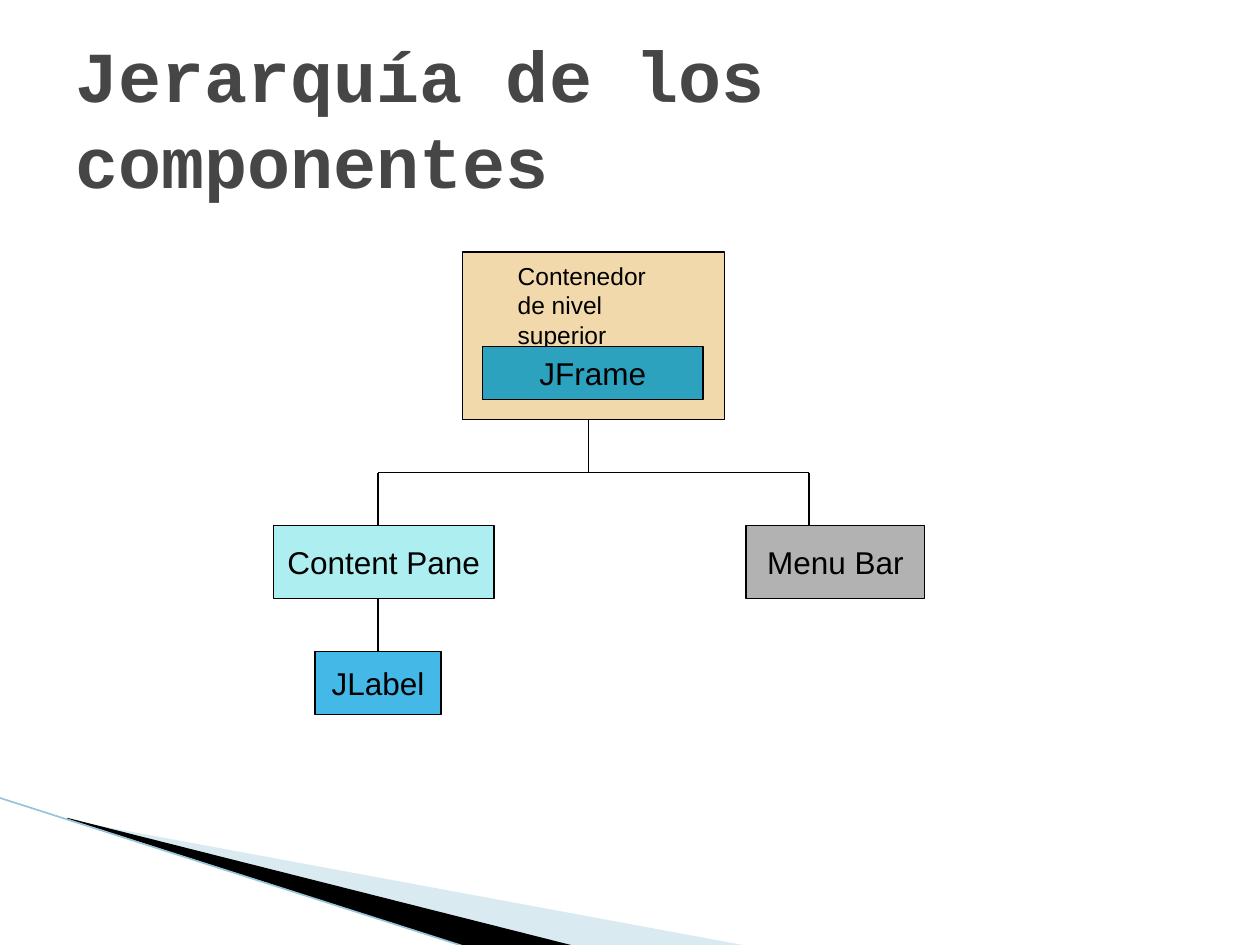
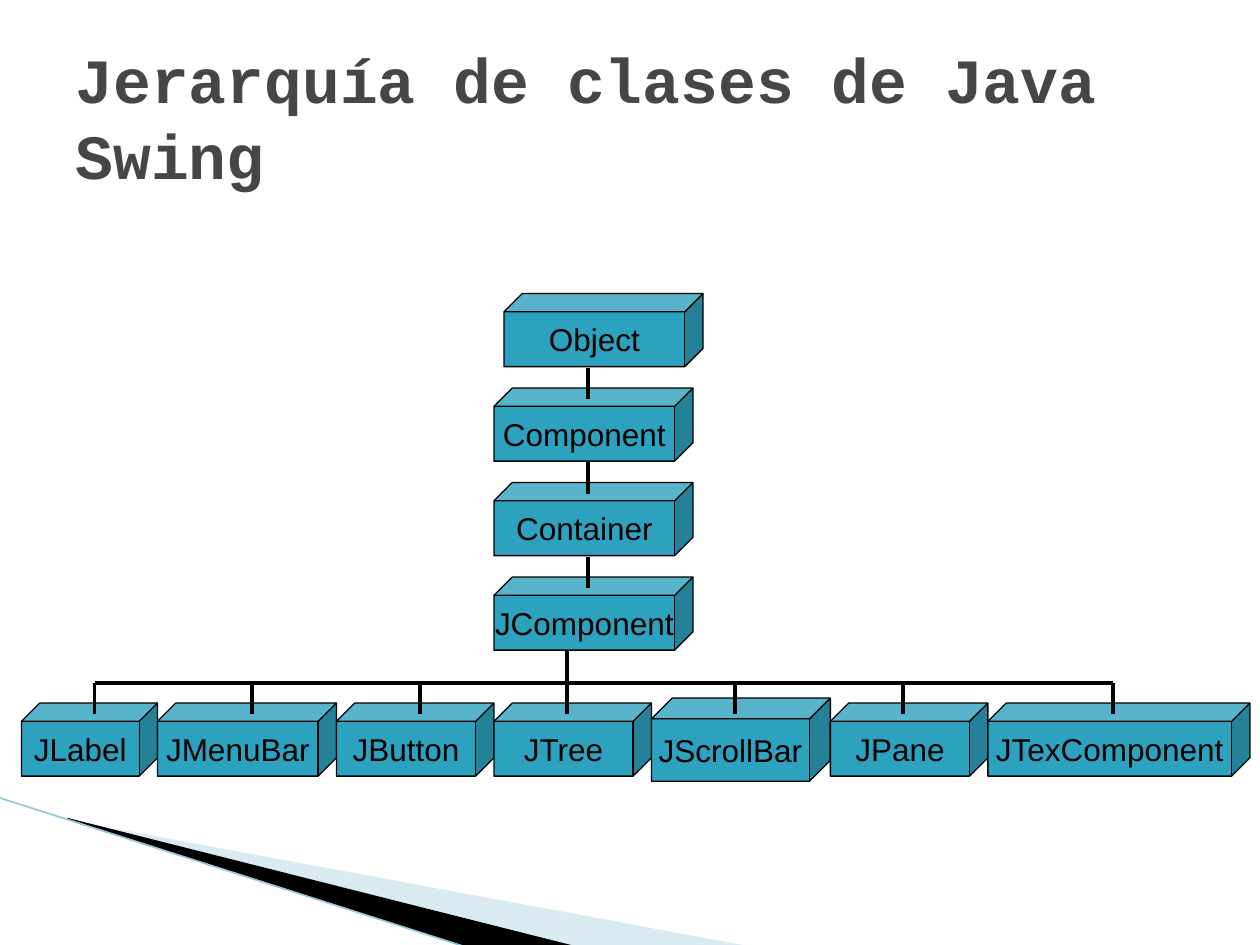
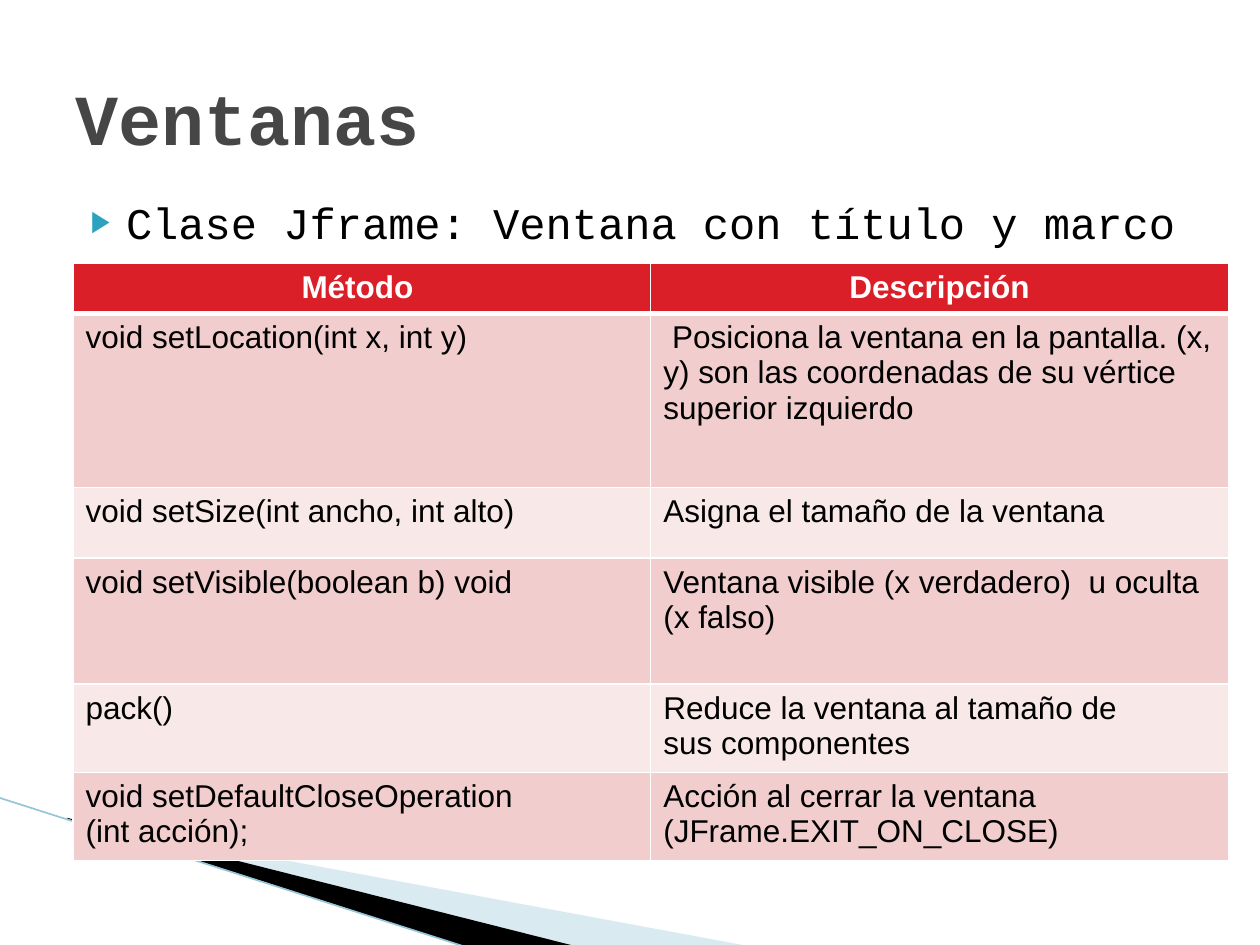
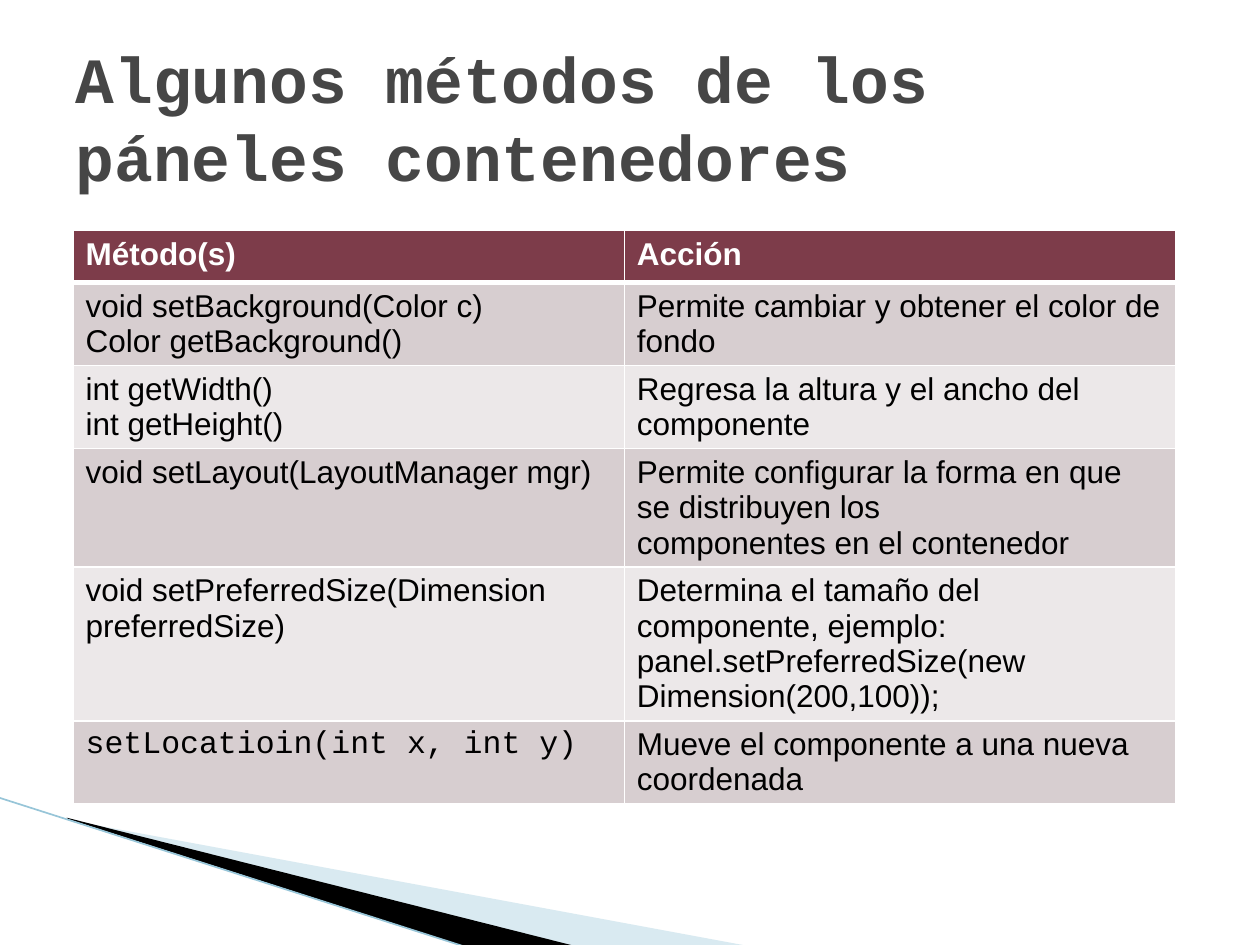
from itertools import accumulate

from lxml.etree import SubElement
from pptx import Presentation
from pptx.dml.color import RGBColor
from pptx.enum.shapes import MSO_CONNECTOR, MSO_SHAPE
from pptx.enum.text import MSO_ANCHOR, MSO_AUTO_SIZE, PP_ALIGN
from pptx.oxml.ns import qn
from pptx.util import Inches, Pt

BLACK, WHITE, GREY = "000000", "FFFFFF", "464646"
TEAL, PALE_BLUE, LINE_BLUE = "2DA2BF", "A0CBDC", "97C5D8"
SANS, MONO = "Arial", "Courier New"
TITLE_BOX = (0.5, 0.3, 9, 1.25)
TITLE_ONLY, TITLE_AND_BODY = 5, 1


# Shared helpers
def rgb(value):
    return RGBColor.from_string(value)


def inches(*values):
    return [Inches(v) for v in values]


def set_font(r, color=BLACK, **values):
    values = {"name": SANS, "size": Pt(18), "bold": False, **values}
    for key, value in values.items():
        setattr(r.font, key, value)
    r.font.color.rgb = rgb(color)


def write(tf, text, align=None, **font):
    """Write one paragraph for each line of the text."""
    for i, line in enumerate(text.split("\n")):
        p = tf.paragraphs[0] if i == 0 else tf.add_paragraph()
        p.alignment = align
        r = p.add_run()
        r.text = line
        set_font(r, **font)


def add_box(s, kind, box, text="", fill=TEAL):
    sp = s.shapes.add_shape(kind, *inches(*box))
    sp.shadow.inherit = False
    sp.fill.solid()
    sp.fill.fore_color.rgb = rgb(fill)
    sp.line.color.rgb = rgb(BLACK)
    sp.line.width = Pt(0.75)
    tf = sp.text_frame
    tf.word_wrap = False
    tf.vertical_anchor = MSO_ANCHOR.MIDDLE
    if text:
        write(tf, text, PP_ALIGN.CENTER)
    return sp


def add_line(s, x1, y1, x2, y2, width=0.75, color=BLACK):
    line = s.shapes.add_connector(MSO_CONNECTOR.STRAIGHT, *inches(x1, y1, x2, y2))
    line.line.color.rgb = rgb(color)
    line.line.width = Pt(width)
    SubElement(line._element.spPr, qn("a:effectLst"))
    return line


def add_wedge(s, points, fill, alpha=None):
    start, *rest = [inches(*point) for point in points]
    builder = s.shapes.build_freeform(*start)
    builder.add_line_segments(rest)
    sp = builder.convert_to_shape()
    sp.shadow.inherit = False
    sp.fill.solid()
    sp.fill.fore_color.rgb = rgb(fill)
    sp.line.fill.background()
    if alpha:
        color = sp._element.spPr.find(qn("a:solidFill"))[0]
        SubElement(color, qn("a:alpha"), val=str(alpha * 1000))
    return sp


def decorate_master(prs, s):
    """Draw the corner wedges and move them to the master."""
    parts = [
        add_wedge(s, [(0.55, 6.51), (5.95, 7.51), (4.56, 7.51), (0.55, 6.5)],
                  PALE_BLUE, 40),
        add_wedge(s, [(0.53, 6.49), (4.57, 7.51), (3.72, 7.52), (0.54, 6.5)], BLACK),
        add_line(s, -0.01, 6.33, 3.71, 7.52, 0.95, LINE_BLUE),
    ]
    for part in parts:
        prs.slide_master.shapes._spTree.append(part._element)


def place(holder, box):
    for key, value in zip(("left", "top", "width", "height"), inches(*box)):
        setattr(holder, key, value)
    tf = holder.text_frame
    tf.word_wrap = True
    tf.auto_size = MSO_AUTO_SIZE.NONE
    return tf


def new_slide(prs, title, size, layout=TITLE_ONLY):
    s = prs.slides.add_slide(prs.slide_layouts[layout])
    tf = place(s.shapes.title, TITLE_BOX)
    tf.vertical_anchor = MSO_ANCHOR.MIDDLE
    write(tf, title, PP_ALIGN.LEFT, name=MONO, size=Pt(size), bold=True, color=GREY)
    return s


# Diagrams
def component_tree(s, x, y):
    rect = MSO_SHAPE.RECTANGLE
    add_box(s, rect, (x + 1.5, y, 2.08, 1.33), fill="F2D9AC")
    note = s.shapes.add_textbox(*inches(x + 1.84, y + 0.02, 1.62, 0.57))
    note.text_frame.word_wrap = True
    write(note.text_frame, "Contenedor\nde nivel superior", size=Pt(14))

    for dx, dy, w, h, text, fill in [
        (1.66, 0.75, 1.75, 0.42, "JFrame", TEAL),
        (0, 2.17, 1.75, 0.58, "Content Pane", "ADEFF1"),
        (0.33, 3.17, 1, 0.5, "JLabel", "44B9E8"),
        (3.75, 2.17, 1.42, 0.58, "Menu Bar", "B2B2B2"),
    ]:
        add_box(s, rect, (x + dx, y + dy, w, h), text, fill)

    left, trunk, right, bus = x + 0.83, x + 2.5, x + 4.25, y + 1.75
    add_line(s, left, bus, right, bus)
    for line_x, top, bottom in [
        (left, bus, y + 2.17), (right, bus, y + 2.17),
        (left, y + 2.75, y + 3.17), (trunk, y + 1.33, bus),
    ]:
        add_line(s, line_x, top, line_x, bottom)


def class_tree(s, x, y):
    cube, height, step, stub, weight = MSO_SHAPE.CUBE, 0.58, 0.75, 0.25, 2.25
    # Chain of base classes
    chain = ["Object", "Component", "Container", "JComponent"]
    for i, name in enumerate(chain):
        left = x + (3.83 if i == 0 else 3.75)
        add_box(s, cube, (left, y + i * step, 1.58, height), name)

    # Row of derived classes, side by side
    leaves = {"JLabel": 1.08, "JMenuBar": 1.42, "JButton": 1.25, "JTree": 1.25,
              "JScrollBar": 1.42, "JPane": 1.25, "JTexComponent": 2.08}
    lefts = accumulate(leaves.values(), initial=x)
    for (name, width), left in zip(leaves.items(), lefts):
        grow = 0.04 if name == "JScrollBar" else 0
        add_box(s, cube, (left, y + 3.25 - grow, width, height + 2 * grow), name)

    # Links
    for i in range(len(chain) - 1):
        top = y + 0.59 + i * step
        add_line(s, x + 4.5, top, x + 4.5, top + stub, weight)
    bus = y + 3.09
    stubs = [x + dx for dx in (0.58, 1.83, 3.16, 4.33, 5.66, 7, 8.66)]
    add_line(s, stubs[3], bus - stub, stubs[3], bus, weight)
    add_line(s, stubs[0], bus, stubs[-1], bus, weight)
    for line_x in stubs:
        add_line(s, line_x, bus, line_x, bus + stub, weight)


# Lists and tables
def bullet_line(s, box, text):
    tf = place(s.placeholders[1], box)
    write(tf, text, name=MONO, size=Pt(25))
    p = tf.paragraphs[0]
    p.space_before = Pt(4)
    pPr = p._p.get_or_add_pPr()
    pPr.set("marL", str(Inches(0.4)))
    pPr.set("indent", str(Inches(-0.28)))
    color = SubElement(pPr, qn("a:buClr"))
    SubElement(color, qn("a:srgbClr"), val=TEAL)
    SubElement(pPr, qn("a:buSzPct"), val="68000")
    SubElement(pPr, qn("a:buFont"), typeface=SANS)
    SubElement(pPr, qn("a:buChar"), char="▶")


def set_borders(cell, **widths):
    tcPr = cell._tc.get_or_add_tcPr()
    for side in "LRTB":
        ln = SubElement(tcPr, qn("a:ln" + side), w=str(Pt(widths.get(side, 1))))
        fill = SubElement(ln, qn("a:solidFill"))
        SubElement(fill, qn("a:srgbClr"), val=WHITE)


def method_table(s, box, row_heights, rows, fills, header_align=None):
    """The fills are those of the header, the odd rows and the even rows."""
    frame = s.shapes.add_table(len(rows), 2, *inches(*box))
    table = frame.table
    for i, (height, texts) in enumerate(zip(row_heights, rows)):
        table.rows[i].height = Inches(height)
        header = i == 0
        for cell, text in zip(table.rows[i].cells, texts):
            set_borders(cell, **{0: {"B": 3}, 1: {"T": 3}}.get(i, {}))
            cell.fill.solid()
            cell.fill.fore_color.rgb = rgb(fills[0] if header else fills[2 - i % 2])
            write(cell.text_frame, text, header_align if header else None,
                  name=MONO if text.startswith("setLocatioin") else SANS,
                  bold=header, color=WHITE if header else BLACK)
    frame.height = Inches(box[3])


WINDOW_METHODS = [
    ("Método ", "Descripción"),
    ("void setLocation(int x, int y)",
     " Posiciona la ventana en la pantalla. (x, y) son las coordenadas de su "
     "vértice superior izquierdo"),
    ("void setSize(int ancho, int alto)", "Asigna el tamaño de la ventana"),
    ("void setVisible(boolean b) void",
     "Ventana visible (x verdadero)  u oculta (x falso)"),
    ("pack()", "Reduce la ventana al tamaño de\nsus componentes"),
    ("void setDefaultCloseOperation\n(int acción);",
     "Acción al cerrar la ventana\n(JFrame.EXIT_ON_CLOSE)"),
]

PANEL_METHODS = [
    ("Método(s)", "Acción"),
    ("void setBackground(Color c)\nColor getBackground()",
     "Permite cambiar y obtener el color de fondo"),
    ("int getWidth()\nint getHeight()",
     "Regresa la altura y el ancho del componente"),
    ("void setLayout(LayoutManager mgr)",
     "Permite configurar la forma en que se distribuyen los\n"
     "componentes en el contenedor"),
    ("void setPreferredSize(Dimension preferredSize)",
     "Determina el tamaño del componente, ejemplo:\n"
     "panel.setPreferredSize(new Dimension(200,100));"),
    ("setLocatioin(int x, int y)", "Mueve el componente a una nueva coordenada"),
]


def main():
    prs = Presentation()
    prs.slide_width, prs.slide_height = inches(10, 7.5)

    s = new_slide(prs, "Jerarquía de los componentes", 41)
    decorate_master(prs, s)
    component_tree(s, 2.17, 2)

    s = new_slide(prs, "Jerarquía de clases de Java Swing", 36)
    class_tree(s, 0.17, 2.33)

    s = new_slide(prs, "Ventanas", 41, TITLE_AND_BODY)
    bullet_line(s, (0.5, 1.5, 9, 0.5), "Clase Jframe: Ventana con título y marco")
    method_table(s, (0.58, 2.09, 9.17, 4.74), (0.4, 1.38, 0.56, 1, 0.7, 0.7),
                 WINDOW_METHODS, ("DA1F28", "F1CDCD", "F8E8E8"), PP_ALIGN.CENTER)

    s = new_slide(prs, "Algunos métodos de los páneles contenedores", 36.9)
    method_table(s, (0.58, 1.83, 8.75, 4.81), [0.41] * 6,
                 PANEL_METHODS, ("7D3C4A", "D7CED0", "ECE8E9"))

    prs.save("out.pptx")


if __name__ == "__main__":
    main()
